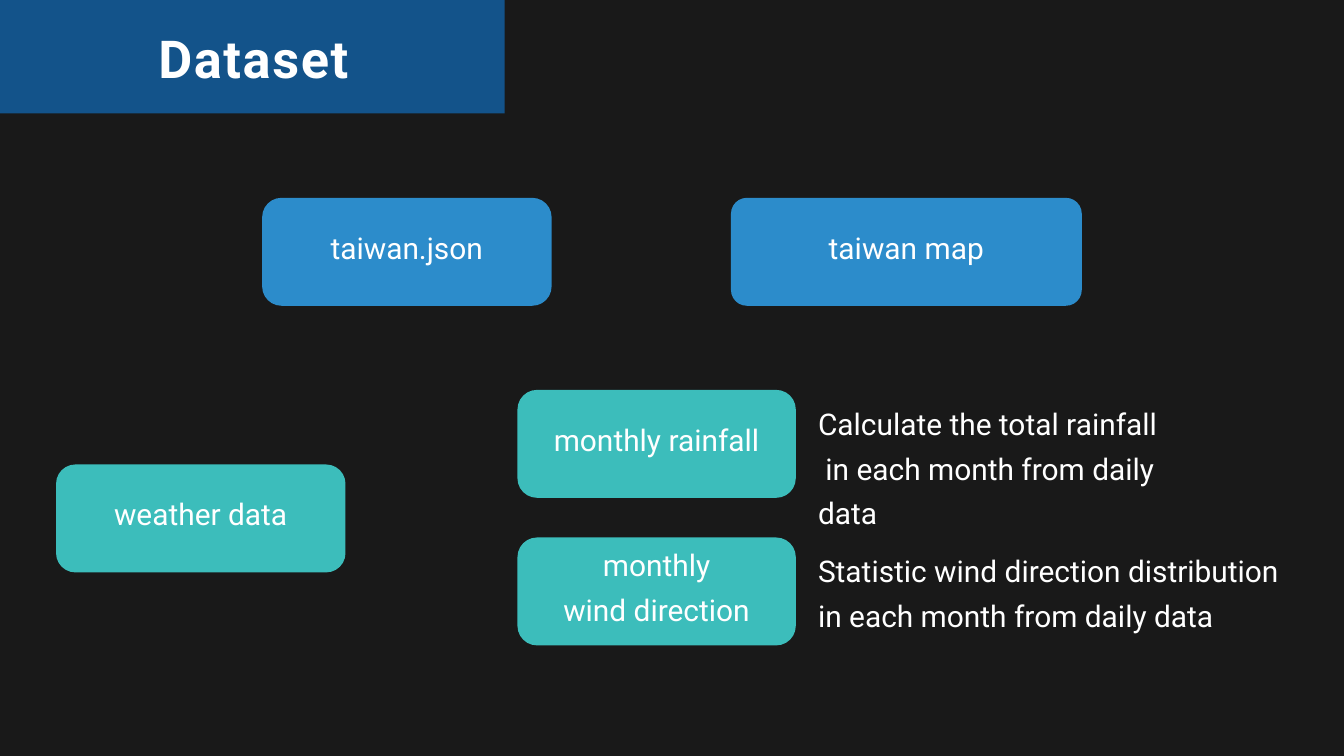
from pptx import Presentation
from pptx.dml.color import RGBColor
from pptx.enum.shapes import MSO_SHAPE
from pptx.enum.text import MSO_ANCHOR, PP_ALIGN
from pptx.util import Cm, Pt

THEME = {
    "font": "Roboto", "title_size": 56, "title_line": 72.8, "title_spacing": 1.7,
    "body_size": 32, "body_line": 48,
    "bg": "191919", "text": "FFFFFF", "banner": "13538A", "map": "2C8CCB", "weather": "3CBDBB",
}
TITLE = "Dataset"
BOX_H, TEXT_LIFT = 4.08, 0.69
# text, left, top, width, corner radius, colour
BOXES = [
    ("taiwan.json", 9.91, 7.48, 10.94, 0.73, "map"),
    ("taiwan map", 27.63, 7.48, 13.26, 0.6, "map"),
    ("weather data", 2.12, 17.56, 10.94, 0.73, "weather"),
    ("monthly rainfall", 19.56, 14.74, 10.52, 0.74, "weather"),
    ("monthly\nwind direction", 19.56, 20.32, 10.52, 0.74, "weather"),
]
NOTE_X, NOTE_H = 30.92, 3.3
# text, top, width, first-line indent of the last paragraph
NOTES = [
    ("Calculate the total rainfall\nin each month from daily data", 14.99, 15, 0.28),
    ("Statistic wind direction distribution\nin each month from daily data", 20.57, 17.53, 0),
]


def color(name):
    """Return the theme colour called name."""
    return RGBColor.from_string(THEME[name])


def add_block(s, kind, x, y, w, h, fill):
    """Add a flat filled shape."""
    sp = s.shapes.add_shape(kind, Cm(x), Cm(y), Cm(w), Cm(h))
    sp.shadow.inherit = False
    sp.fill.solid()
    sp.fill.fore_color.rgb = color(fill)
    sp.line.fill.background()
    return sp


def add_label(s, x, y, w, h):
    """Add an empty text box."""
    return s.shapes.add_textbox(Cm(x), Cm(y), Cm(w), Cm(h))


def set_text(sp, text, style="body", align=PP_ALIGN.CENTER, anchor=MSO_ANCHOR.TOP, bottom=0):
    """Write text into a shape and format it."""
    tf = sp.text_frame
    tf.text = text
    tf.word_wrap = True
    tf.vertical_anchor = anchor
    tf.margin_left = tf.margin_right = tf.margin_top = 0
    tf.margin_bottom = Cm(bottom)
    for p in tf.paragraphs:
        p.alignment = align
        p.line_spacing = Pt(THEME[style + "_line"])
        for r in p.runs:
            r.font.name = THEME["font"]
            r.font.size = Pt(THEME[style + "_size"])
            r.font.color.rgb = color("text")
    return tf


def main():
    """Build the dataset slide."""
    prs = Presentation()
    prs.slide_width, prs.slide_height = Cm(50.8), Cm(28.58)
    s = prs.slides.add_slide(prs.slide_layouts[6])
    s.background.fill.solid()
    s.background.fill.fore_color.rgb = color("bg")

    add_block(s, MSO_SHAPE.RECTANGLE, 0, 0, 19.08, 4.29, "banner")
    tf = set_text(add_label(s, 1.63, 0.81, 15.9, 2.54), TITLE, "title")
    r = tf.paragraphs[0].runs[0]
    r.font.bold = True
    r.font._element.set("spc", str(round(THEME["title_spacing"] * 100)))

    for text, x, y, w, radius, fill in BOXES:
        sp = add_block(s, MSO_SHAPE.ROUNDED_RECTANGLE, x, y, w, BOX_H, fill)
        sp.adjustments[0] = radius / BOX_H
        set_text(sp, text, anchor=MSO_ANCHOR.MIDDLE, bottom=TEXT_LIFT)

    for text, y, w, indent in NOTES:
        tf = set_text(add_label(s, NOTE_X, y, w, NOTE_H), text, align=PP_ALIGN.LEFT)
        if indent:
            tf.paragraphs[-1]._p.get_or_add_pPr().set("indent", str(Cm(indent)))

    prs.save("out.pptx")


if __name__ == "__main__":
    main()
